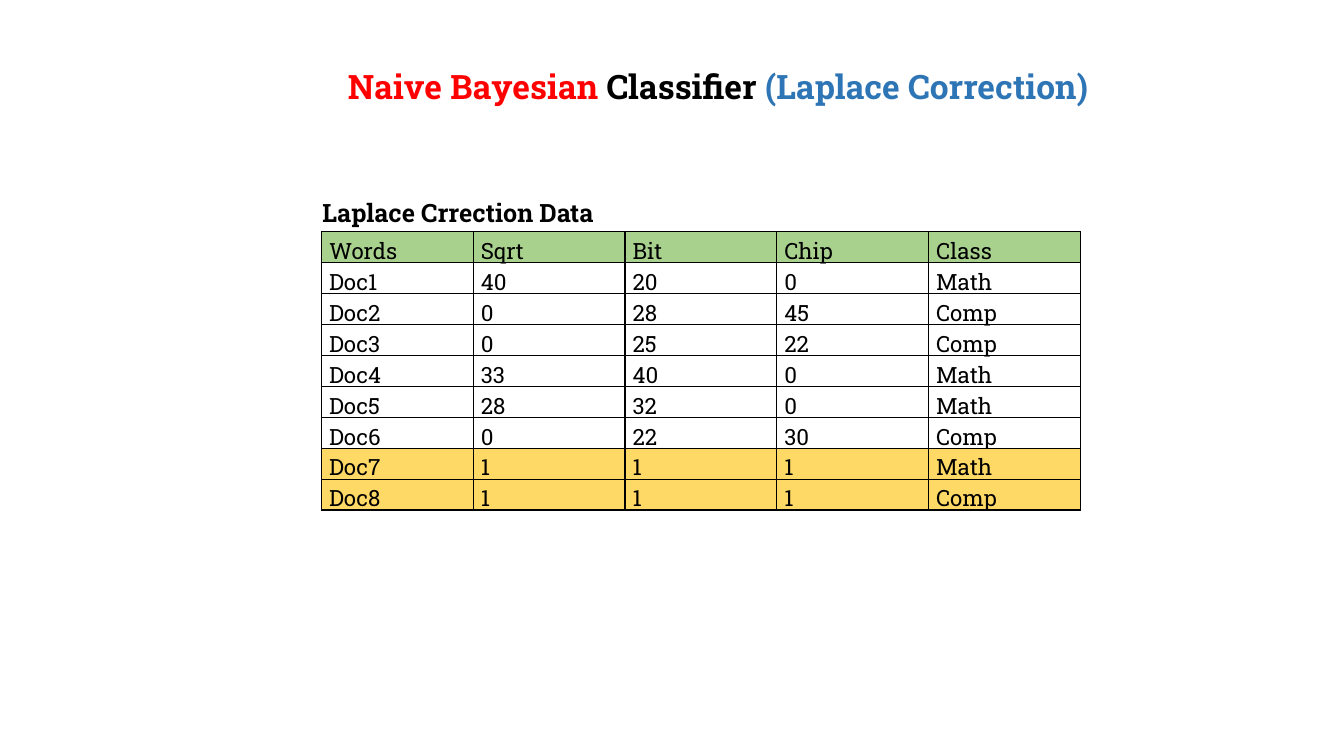
from lxml.etree import SubElement
from pptx import Presentation
from pptx.dml.color import RGBColor
from pptx.enum.text import MSO_AUTO_SIZE, PP_ALIGN
from pptx.oxml.ns import qn
from pptx.util import Pt

FONT = "Roboto Slab"
BLACK = RGBColor(0x00, 0x00, 0x00)
RED = RGBColor(0xFF, 0x00, 0x00)
BLUE = RGBColor(0x2E, 0x75, 0xB6)
GREEN = RGBColor(0xA9, 0xD1, 0x8E)
YELLOW = RGBColor(0xFF, 0xD9, 0x66)

TITLE = [("Naive Bayesian ", RED), ("Classifier ", BLACK),
         ("(Laplace Correction) ", BLUE)]
ROWS = [
    ("Words", "Sqrt", "Bit", "Chip", "Class"),
    ("Doc1", "40", "20", "0", "Math"),
    ("Doc2", "0", "28", "45", "Comp"),
    ("Doc3", "0", "25", "22", "Comp"),
    ("Doc4", "33", "40", "0", "Math"),
    ("Doc5", "28", "32", "0", "Math"),
    ("Doc6", "0", "22", "30", "Comp"),
    ("Doc7", "1", "1", "1", "Math"),
    ("Doc8", "1", "1", "1", "Comp"),
]
ROW_FILLS = {0: GREEN, 7: YELLOW, 8: YELLOW}


def add_run(p, text, size=16, color=BLACK, bold=False):
    r = p.add_run()
    r.text = text
    r.font.name = FONT
    r.font.size = Pt(size)
    r.font.bold = bold
    r.font.color.rgb = color


def add_heading(s, x, y, w, h, runs, size, align=PP_ALIGN.LEFT, spacing=1.0):
    tf = s.shapes.add_textbox(Pt(x), Pt(y), Pt(w), Pt(h)).text_frame
    tf.word_wrap = True
    tf.auto_size = MSO_AUTO_SIZE.SHAPE_TO_FIT_TEXT
    p = tf.paragraphs[0]
    p.alignment = align
    p.line_spacing = spacing
    for text, color in runs:
        add_run(p, text, size=size, color=color, bold=True)


def set_borders(cell, width=1, color=BLACK):
    tcPr = cell._tc.get_or_add_tcPr()
    for i, side in enumerate(("a:lnL", "a:lnR", "a:lnT", "a:lnB")):
        ln = tcPr.makeelement(qn(side), {"w": str(Pt(width))})
        fill = SubElement(ln, qn("a:solidFill"))
        SubElement(fill, qn("a:srgbClr"), val=str(color))
        tcPr.insert(i, ln)  # borders come before the fill


def add_data_table(s, x, y, w, h):
    n_rows, n_cols = len(ROWS), len(ROWS[0])
    table = s.shapes.add_table(n_rows, n_cols, Pt(x), Pt(y), Pt(w), Pt(h)).table
    table.first_row = table.horz_banding = False
    for col in table.columns:
        col.width = Pt(w / n_cols)
    for i, values in enumerate(ROWS):
        table.rows[i].height = Pt(h / n_rows)
        for j, text in enumerate(values):
            cell = table.cell(i, j)
            cell.margin_left = cell.margin_right = Pt(5.4)
            cell.margin_top = cell.margin_bottom = 0
            if i in ROW_FILLS:
                cell.fill.solid()
                cell.fill.fore_color.rgb = ROW_FILLS[i]
            else:
                cell.fill.background()
            set_borders(cell)
            p = cell.text_frame.paragraphs[0]
            p.line_spacing = 1.15
            add_run(p, text)


def main():
    prs = Presentation()
    prs.slide_width, prs.slide_height = Pt(960), Pt(540)
    s = prs.slides.add_slide(prs.slide_layouts[6])
    # Title
    add_heading(s, 211.7, 38.9, 608.4, 38.2, TITLE, 24, PP_ALIGN.CENTER, 1.15)
    # Data table
    add_data_table(s, 229.7, 165.6, 542, 198.72)
    # Table caption
    add_heading(s, 223.2, 137.5, 276.5, 28.8,
                [("Laplace Crrection Data", BLACK)], 18)
    prs.save("out.pptx")


if __name__ == "__main__":
    main()
